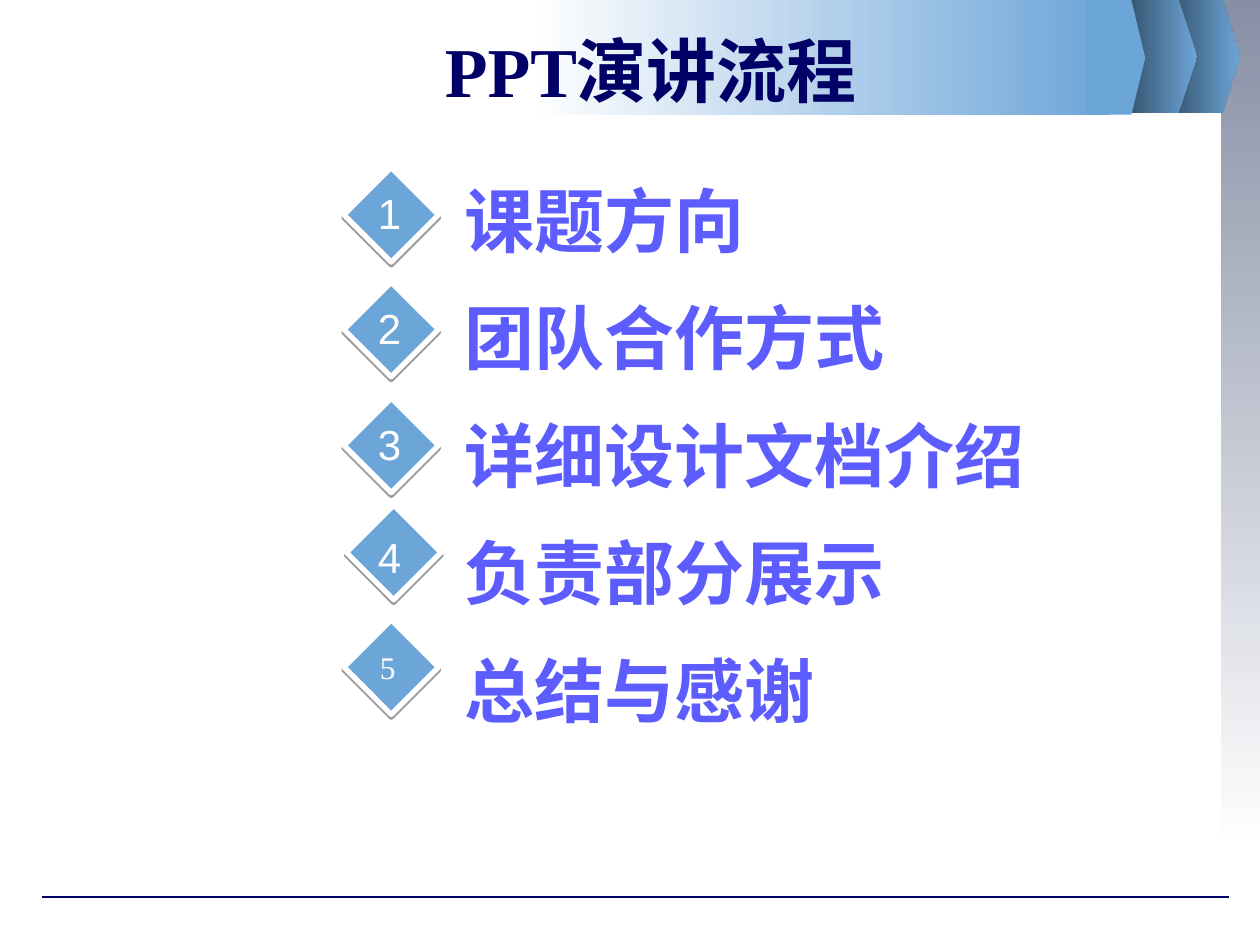
from pptx import Presentation
from pptx.dml.color import RGBColor
from pptx.enum.shapes import MSO_CONNECTOR as Connector, MSO_SHAPE as Shape
from pptx.enum.text import MSO_ANCHOR as Anchor, MSO_AUTO_SIZE as Fit, PP_ALIGN as Align
from pptx.oxml import parse_xml
from pptx.oxml.ns import nsdecls, qn
from pptx.util import Inches, Pt

COLORS = {
    "navy": "000066", "violet": "5C5CFF", "blue": "6CA5D8", "steel": "324C64",
    "slate": "878FA5", "white": "FFFFFF", "number": "FEFEFE", "shadow": "000000",
}
TOPICS = ["课题方向", "团队合作方式", "详细设计文档介绍", "负责部分展示", "总结与感谢"]
MARKERS = [(2.73, 1.33), (2.73, 2.24), (2.73, 3.16), (2.75, 4.01), (2.73, 4.92)]
NUMBER_TOPS = [1.44, 2.35, 3.27, 4.17]
SERIF, SANS = "Times New Roman", "Arial"


def rgb(name):
    return RGBColor.from_string(COLORS[name])


def write(frame, *lines, font=SERIF, size=40, color="navy", bold=False,
          align=Align.LEFT, spacing=None, anchor=Anchor.TOP, wrap=True, fit=Fit.NONE):
    frame.auto_size = fit
    frame.word_wrap = wrap
    frame.vertical_anchor = anchor
    for index, line in enumerate(lines):
        paragraph = frame.add_paragraph() if index else frame.paragraphs[0]
        paragraph.alignment = align
        paragraph.line_spacing = spacing
        run = paragraph.add_run()
        run.text = line
        run.font.name, run.font.size, run.font.bold = font, Pt(size), bold
        run.font.color.rgb = rgb(color)


class AgendaSlide:
    def __init__(self, deck):
        self.slide = deck.slides.add_slide(deck.slide_layouts[5])
        self.shapes = self.slide.shapes

    def paint(self, shape, colors, angle=0):
        shape.shadow.inherit = False
        shape.line.fill.background()
        if len(colors) == 1:
            shape.fill.solid()
            shape.fill.fore_color.rgb = rgb(colors[0])
            return
        shape.fill.gradient()
        shape.fill.gradient_angle = angle
        for stop, color, position in zip(shape.fill.gradient_stops, colors, (0, 1)):
            stop.color.rgb = rgb(color)
            stop.position = position

    def band(self, box, colors, angle=0):
        self.paint(self.shapes.add_shape(Shape.RECTANGLE, *map(Inches, box)), colors, angle)

    def arrow(self, left, top, shoulder, tip, colors):
        bottom = top + 0.91
        outline = [(left, top), (shoulder, top), (tip, top + 0.46),
                   (shoulder, bottom), (left, bottom)]
        start, *rest = [(Inches(x), Inches(y)) for x, y in outline]
        builder = self.shapes.build_freeform(*start)
        builder.add_line_segments(rest, close=True)
        self.paint(builder.convert_to_shape(), colors)

    def rule(self, left, right, y):
        line = self.shapes.add_connector(
            Connector.STRAIGHT, Inches(left), Inches(y), Inches(right), Inches(y))
        line.line.color.rgb = rgb("navy")
        line.line.width = Pt(0.75)
        line.element.spPr.append(parse_xml(f"<a:effectLst {nsdecls('a')}/>"))

    def title(self, text, box):
        heading = self.shapes.title
        heading.left, heading.top, heading.width, heading.height = map(Inches, box)
        write(heading.text_frame, text, bold=True, align=Align.CENTER, anchor=Anchor.MIDDLE)
        heading.element.getparent().append(heading.element)

    def marker(self, left, top):
        diamond = self.shapes.add_shape(
            Shape.DIAMOND, Inches(left), Inches(top), Inches(0.75), Inches(0.75))
        self.paint(diamond, ["blue"])
        diamond.line.color.rgb = rgb("white")
        diamond.line.width = Pt(3)
        diamond.element.spPr.find(qn("a:effectLst")).append(parse_xml(
            f'<a:outerShdw {nsdecls("a")} blurRad="0" dist="{Pt(1.6)}" dir="5400000" '
            f'algn="ctr" rotWithShape="0"><a:srgbClr val="{COLORS["shadow"]}">'
            '<a:alpha val="38000"/></a:srgbClr></a:outerShdw>'))
        return diamond

    def text(self, box, *lines, **style):
        write(self.shapes.add_textbox(*map(Inches, box)).text_frame, *lines,
              fit=Fit.SHAPE_TO_FIT_TEXT, **style)


def main():
    deck = Presentation()
    deck.slide_width, deck.slide_height = Inches(10), Inches(7.5)
    agenda = AgendaSlide(deck)

    agenda.band((9.69, 0, 0.31, 6.77), ["slate", "white"], angle=270)
    agenda.rule(0.33, 9.75, 7.12)
    agenda.arrow(9.25, -0.01, 9.7, 9.84, ["steel", "blue"])
    agenda.arrow(8.91, -0.01, 9.35, 9.5, ["steel", "blue"])
    agenda.band((4.21, 0, 4.6, 0.91), ["white", "blue"])
    agenda.arrow(8.63, 0, 8.98, 9.09, ["blue"])

    agenda.title("PPT演讲流程", (1.25, 0.23, 7.83, 0.65))
    agenda.text((3.59, 1.09, 5.79, 4.77), *TOPICS, color="violet", bold=True, spacing=1.4)
    diamonds = [agenda.marker(*corner) for corner in MARKERS]
    for number, top in enumerate(NUMBER_TOPS, 1):
        agenda.text((2.9, top, 0.38, 0.5), str(number), font=SANS, size=24,
                    color="number", align=Align.CENTER, wrap=False)
    write(diamonds[-1].text_frame, str(len(TOPICS)), size=18, color="white",
          anchor=Anchor.MIDDLE, wrap=False)

    deck.save("out.pptx")


if __name__ == "__main__":
    main()
